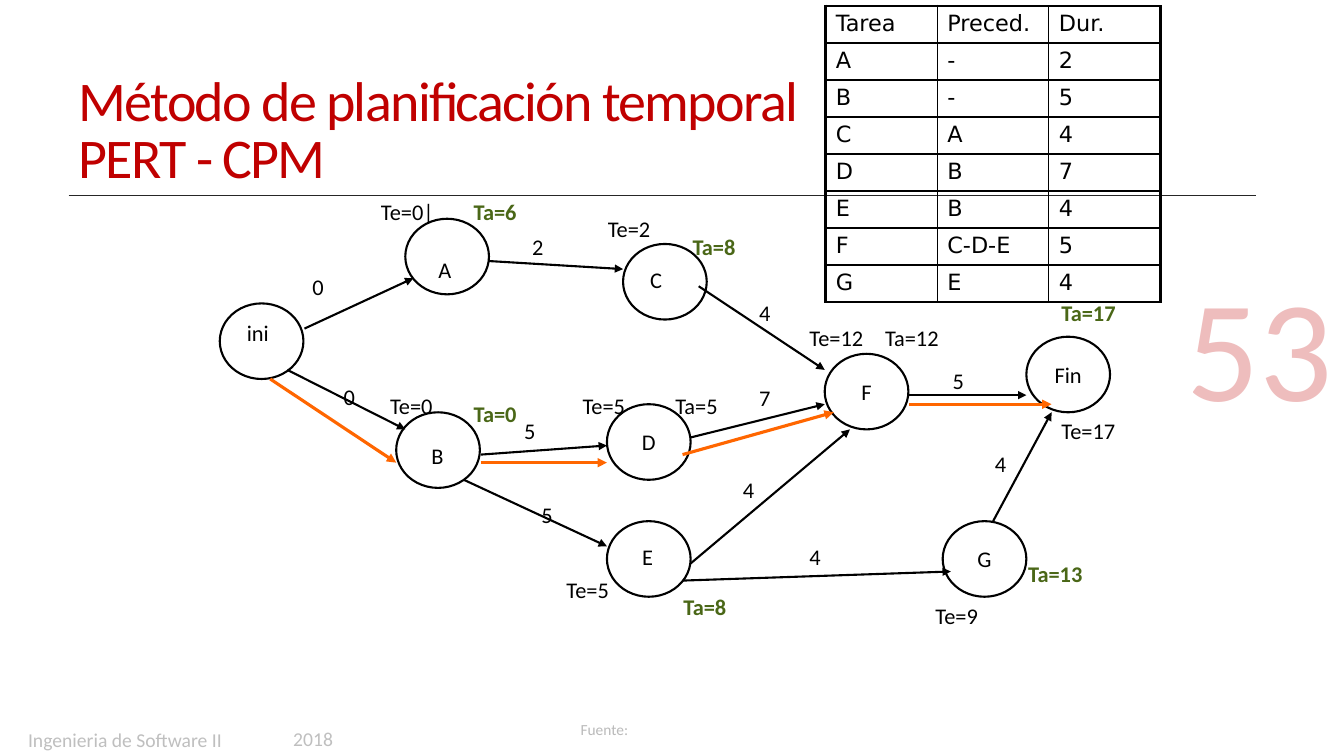
import pptx
import pptx.util
import pptx.dml.color
import pptx.enum.shapes
import pptx.enum.text
import pptx.oxml
import pptx.oxml.ns

Inches, Pt = pptx.util.Inches, pptx.util.Pt
RGB = pptx.dml.color.RGBColor
Anchor = pptx.enum.text.MSO_ANCHOR
Align = pptx.enum.text.PP_ALIGN
Fit = pptx.enum.text.MSO_AUTO_SIZE

BLACK = RGB(0x00, 0x00, 0x00)
RED = RGB(0xC0, 0x00, 0x00)
GREEN = RGB(0x4A, 0x67, 0x17)
ORANGE = RGB(0xFF, 0x66, 0x00)
GRAY = RGB(0x8C, 0x8C, 0x8C)
PALE = RGB(0xBF, 0xBF, 0xBF)
DARK = RGB(0x26, 0x26, 0x26)

NODE_W, NODE_H = 0.83, 0.75
LABEL_H = 0.37
WIDTHS = {1: 0.39, 3: 0.45, 4: 0.71, 5: 0.84}  # label width by text length

# Places below are relative to the network's box
NODES = [("", 1.75, 1.92), ("", 0, 0.84), ("", 1.84, 0), ("", 4, 0.25),
         ("", 3.84, 3), ("F", 6, 1.34), ("D", 3.84, 1.84),
         ("G", 7.17, 3), ("Fin", 8, 1.17)]
NAMES = [("ini", 0.17, 0.95), ("A", 2.07, 0.32), ("B", 2, 2.17),
         ("C", 4.17, 0.42), ("E", 4.09, 3.17)]
COSTS = [("0", 0.82, 0.49), ("0", 1.13, 1.58), ("2", 3, 0.09),
         ("5", 2.92, 1.92), ("4", 5.25, 0.75), ("7", 5.25, 1.59),
         ("4", 5.09, 2.5), ("5", 3.09, 2.75), ("4", 5.75, 3.17),
         ("4", 7.59, 2.25), ("5", 7.17, 1.42)]
TIMES = [("Te=0|", 1.5, -0.25), ("Te=0", 1.59, 1.67), ("Te=2", 3.75, -0.08),
         ("Te=5", 3.5, 1.67), ("Te=5", 3.34, 3.5), ("Te=12", 5.75, 1),
         ("Te=9", 7, 3.75), ("Te=17", 8.25, 1.92), ("Ta=12", 6.5, 1),
         ("Ta=5", 4.42, 1.67)]
LATEST = [("Ta=17", 8.25, 0.75), ("Ta=13", 7.92, 3.34), ("Ta=8", 4.5, 3.67),
          ("Ta=8", 4.59, 0.09), ("Ta=6", 2.42, -0.25), ("Ta=0", 2.42, 1.75)]
LINKS = [(0.84, 1.09, 1.92, 0.59), (2.59, 2.34, 3.84, 2.25),
         (0.67, 1.5, 1.84, 2.09), (2.67, 0.42, 4, 0.5),
         (2.42, 2.59, 3.84, 3.25), (4.67, 3.42, 6.25, 2.09),
         (4.67, 2.17, 6, 1.84), (4.75, 0.67, 6, 1.5),
         (4.59, 3.59, 7.25, 3.5), (6.84, 1.75, 8, 1.75),
         (7.67, 3, 8.25, 1.92)]
CRITICAL = [(0.5, 1.59, 1.75, 2.42), (2.59, 2.42, 3.84, 2.42),
            (4.59, 2.34, 6.09, 1.92), (6.84, 1.84, 8.25, 1.84)]
TASKS = [("Tarea", "Preced.", "Dur."), ("A", "-", "2"), ("B", "-", "5"),
         ("C", "A", "4"), ("D", "B", "7"), ("E", "B", "4"),
         ("F", "C-D-E", "5"), ("G", "E", "4")]


def add_xml(parent, tag, **attrs):
    child = pptx.oxml.ns.qn("a:" + tag)
    item = parent.makeelement(child, attrs)
    parent.append(item)
    return item


def style(frame, size, color, bold=False, face="Calibri", alpha=None):
    for run in frame.paragraphs[0].runs:
        font = run.font
        font.name, font.size, font.bold = face, Pt(size), bold
        font.color.rgb = color
        if alpha:
            for tone in run._r.iter(pptx.oxml.ns.qn("a:srgbClr")):
                add_xml(tone, "alpha", val=str(alpha * 1000))


def add_text(slide, text, x, y, w, h, size, color, bold=False, alpha=None):
    box = slide.shapes.add_textbox(Inches(x), Inches(y), Inches(w), Inches(h))
    frame = box.text_frame
    frame.word_wrap = True
    frame.text = text
    style(frame, size, color, bold, alpha=alpha)
    return frame


def add_line(slide, x1, y1, x2, y2, color, width, arrow=True):
    line = slide.shapes.add_connector(
        pptx.enum.shapes.MSO_CONNECTOR.STRAIGHT,
        Inches(x1), Inches(y1), Inches(x2), Inches(y2))
    line.line.color.rgb = color
    line.line.width = Pt(width)
    if arrow:
        add_xml(line.line._get_or_add_ln(), "tailEnd", type="triangle")
    add_xml(line._element.spPr, "effectLst")


def add_node(slide, text, x, y):
    node = slide.shapes.add_shape(
        pptx.enum.shapes.MSO_SHAPE.OVAL,
        Inches(x), Inches(y), Inches(NODE_W), Inches(NODE_H))
    node.shadow.inherit = False
    node.fill.background()
    node.line.color.rgb = BLACK
    node.line.width = Pt(1.5)
    if text:
        frame = node.text_frame
        frame.text = text
        frame.word_wrap = False
        frame.vertical_anchor = Anchor.MIDDLE
        frame.paragraphs[0].alignment = Align.CENTER
        style(frame, 16, BLACK)


def add_label(slide, text, x, y, color=BLACK, bold=False):
    frame = add_text(slide, text, x, y, WIDTHS[len(text)], LABEL_H,
                     16, color, bold)
    frame.word_wrap = False
    frame.auto_size = Fit.SHAPE_TO_FIT_TEXT


def add_head(slide, x, y, w, h):
    add_line(slide, x, y + h, x + w, y + h, DARK, 0.75, arrow=False)
    frame = add_text(slide, "Método de planificación temporal\vPERT - CPM",
                     x, y, w, h, 40, RED)
    frame.vertical_anchor = Anchor.MIDDLE
    frame.paragraphs[0].line_spacing = 0.85
    for run in frame.paragraphs[0].runs:
        run._r.get_or_add_rPr().set("spc", "-120")


def add_number(slide, x, y, w, h):
    frame = add_text(slide, "53", x, y, w, h, 103, RED, alpha=25)
    frame.margin_top = frame.margin_bottom = 0
    frame.vertical_anchor = Anchor.BOTTOM
    frame.paragraphs[0].alignment = Align.RIGHT


def add_foot(slide, x, y):
    add_text(slide, "Fuente:", x + 5.48, y, 0.9, 0.29, 11, GRAY, alpha=60)
    add_text(slide, "2018", x + 2.63, y + 0.07, 0.9, 0.28, 14, PALE)
    add_text(slide, "Ingenieria de Software II", x, y + 0.08, 2.36, 0.23,
             14, PALE)


def add_net(slide, x, y):
    for text, dx, dy in NODES:
        add_node(slide, text, x + dx, y + dy)
    for group, color, width in ((LINKS, BLACK, 1.5), (CRITICAL, ORANGE, 2.25)):
        for x1, y1, x2, y2 in group:
            add_line(slide, x + x1, y + y1, x + x2, y + y2, color, width)
    for text, dx, dy in NAMES + COSTS + TIMES:
        add_label(slide, text, x + dx, y + dy)
    for text, dx, dy in LATEST:
        add_label(slide, text, x + dx, y + dy, GREEN, True)


def add_edge(cell, side, thick):
    width = Pt(2.25 if thick else 1)
    edge = add_xml(cell._tc.get_or_add_tcPr(), "ln" + side, w=str(width))
    add_xml(add_xml(edge, "solidFill"), "srgbClr", val=str(BLACK))


def add_tasks(slide, x, y, w, h):
    rows, cols = len(TASKS), len(TASKS[0])
    table = slide.shapes.add_table(rows, cols, Inches(x), Inches(y),
                                   Inches(w), Inches(h)).table
    table.first_row = table.horz_banding = False
    for r, task in enumerate(TASKS):
        for c, text in enumerate(task):
            cell = table.cell(r, c)
            cell.text = text
            style(cell.text_frame, 16, BLACK, face="DejaVu Sans")
            # Thick outer frame, except above the last heading
            add_edge(cell, "L", c == 0)
            add_edge(cell, "R", c == cols - 1)
            add_edge(cell, "T", r == 0 and c < cols - 1)
            add_edge(cell, "B", r == rows - 1)
            cell.fill.background()


def main():
    deck = pptx.Presentation()
    deck.slide_width, deck.slide_height = Inches(13.33), Inches(7.5)
    slide = deck.slides.add_slide(deck.slide_layouts[6])
    add_head(slide, 0.68, 0.7, 11.78, 1.24)
    add_number(slide, 10.12, 3.12, 3.2, 1.15)
    add_foot(slide, 0.18, 7.09)
    add_net(slide, 2.18, 2.17)
    add_your = add_tasks
    add_your(slide, 8.19, 0.06, 3.32, 2.93)
    deck.save("out.pptx")


if __name__ == "__main__":
    main()
